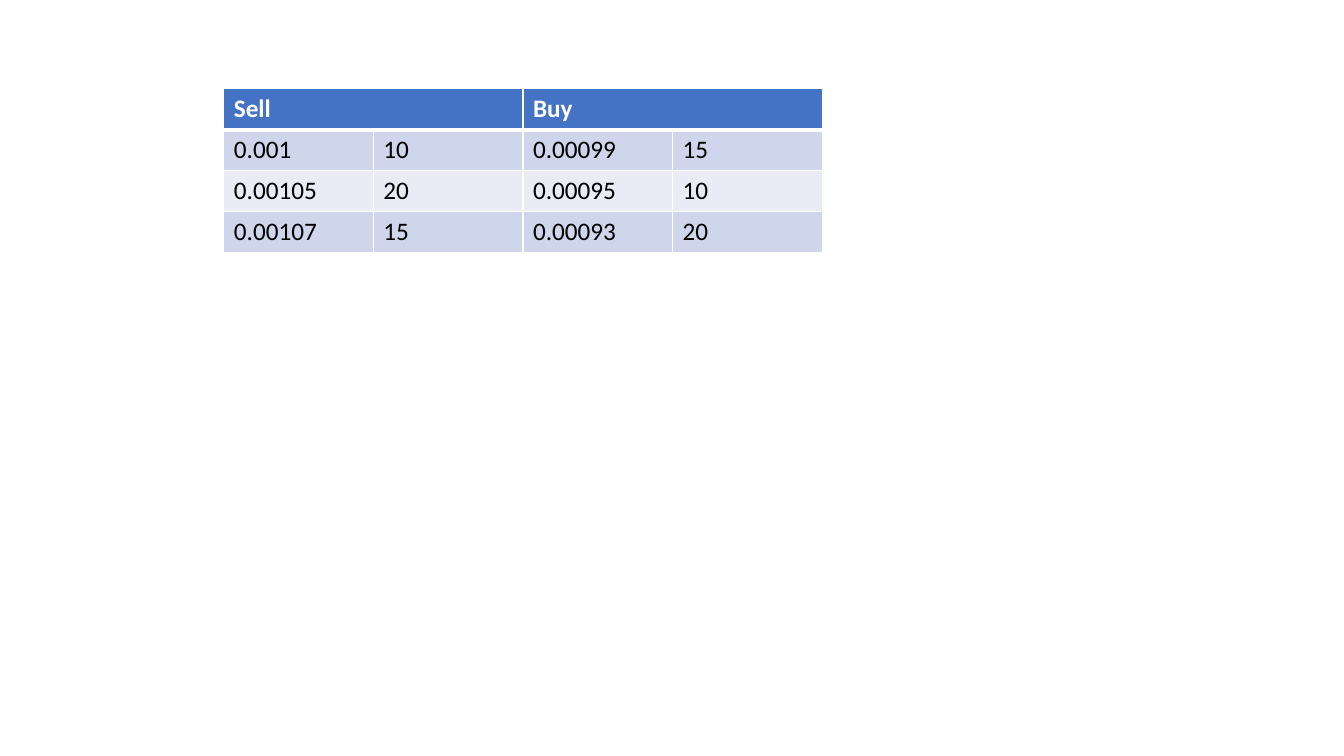
from lxml import etree
from pptx import Presentation
from pptx.dml.color import RGBColor
from pptx.oxml.ns import qn
from pptx.util import Cm, Pt

WHITE = RGBColor(0xFF, 0xFF, 0xFF)
BLACK = RGBColor(0x00, 0x00, 0x00)
HEADER_BLUE = RGBColor(0x44, 0x72, 0xC4)
BAND_DARK = RGBColor(0xCF, 0xD5, 0xEA)
BAND_LIGHT = RGBColor(0xE9, 0xEB, 0xF5)

FONT_NAME = "Calibri"
COLUMN_WIDTH = Cm(3.77)
ROW_HEIGHT = Cm(1.03)
THIN, THICK = Pt(1), Pt(3)

ORDERS = [
    ["Sell", "", "Buy", ""],
    ["0.001", "10", "0.00099", "15"],
    ["0.00105", "20", "0.00095", "10"],
    ["0.00107", "15", "0.00093", "20"],
]


def set_borders(cell, top, bottom):
    """Draw white borders, with given widths above and below the cell."""
    properties = cell._tc.get_or_add_tcPr()
    widths = {"a:lnL": THIN, "a:lnR": THIN, "a:lnT": top, "a:lnB": bottom}
    for tag, width in widths.items():
        line = etree.SubElement(properties, qn(tag), w=str(int(width)))
        fill = etree.SubElement(line, qn("a:solidFill"))
        etree.SubElement(fill, qn("a:srgbClr"), val=str(WHITE))


def style_cell(cell, text, fill_color, font_color, bold):
    """Fill a cell and set its formatted text."""
    cell.fill.solid()
    cell.fill.fore_color.rgb = fill_color
    cell.text_frame.text = text
    font = cell.text_frame.paragraphs[0].font
    for target in [font] + [run.font for run in cell.text_frame.paragraphs[0].runs]:
        target.name = FONT_NAME
        target.size = Pt(18)
        target.bold = bold
        target.color.rgb = font_color


def add_order_table(slide, left, top, orders):
    """Add the banded order table, each heading spanning two columns."""
    row_count, column_count = len(orders), len(orders[0])
    table = slide.shapes.add_table(
        row_count, column_count, left, top,
        COLUMN_WIDTH * column_count, ROW_HEIGHT * row_count,
    ).table
    for row_index, values in enumerate(orders):
        is_header = row_index == 0
        band = BAND_DARK if row_index % 2 else BAND_LIGHT
        for column_index, text in enumerate(values):
            cell = table.cell(row_index, column_index)
            set_borders(cell, THICK if row_index == 1 else THIN,
                        THICK if is_header else THIN)
            style_cell(cell, text, HEADER_BLUE if is_header else band,
                       WHITE if is_header else BLACK, is_header)
    for column_index in range(0, column_count, 2):
        table.cell(0, column_index).merge(table.cell(0, column_index + 1))


def main():
    """Build the slide and save it."""
    presentation = Presentation()
    presentation.slide_width = Cm(33.87)
    presentation.slide_height = Cm(19.05)
    slide = presentation.slides.add_slide(presentation.slide_layouts[6])
    add_order_table(slide, Cm(5.64), Cm(2.24), ORDERS)
    presentation.save("out.pptx")


main()
